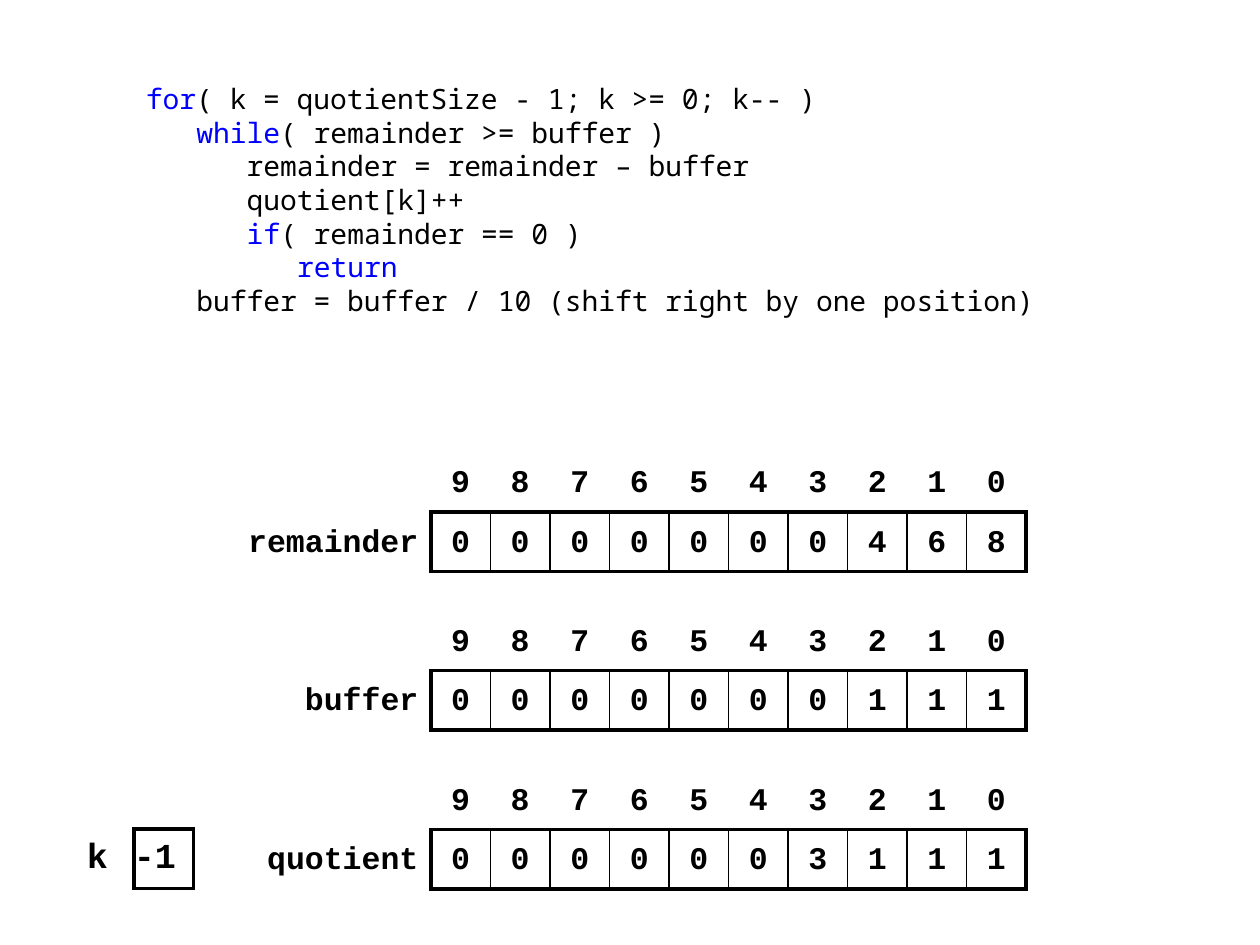
from dataclasses import dataclass

from lxml.etree import SubElement
from pptx import Presentation
from pptx.dml.color import RGBColor
from pptx.enum.text import MSO_ANCHOR, PP_ALIGN
from pptx.oxml.ns import qn
from pptx.util import Inches, Pt


@dataclass(frozen=True)
class Theme:
    """Colours, fonts, type sizes and line widths of the slide."""
    ink: str = "000000"
    keyword: str = "0000FF"
    code_font: str = "Noto Sans Mono"
    grid_font: str = "Courier New"
    code_size: float = 16
    code_leading: float = 19.2
    digit_size: float = 18
    counter_size: float = 20
    thick: float = 2.25
    thin: float = 1


THEME = Theme()
PLAIN_STYLE = "{2D5ABB26-0587-4C30-8999-92F81FD0307C}"
CELL = 0.4725
LABEL_WIDTH = 1.57
INDENT_STEP = 0.4

# Each line: indent level, keyword, remaining text
CODE = [
    (0, "for", "( k = quotientSize - 1; k >= 0; k-- )"),
    (1, "while", "( remainder >= buffer )"),
    (2, "", "remainder = remainder – buffer"),
    (2, "", "quotient[k]++"),
    (2, "if", "( remainder == 0 )"),
    (3, "return", ""),
    (1, "", "buffer = buffer / 10 (shift right by one position)"),
]
REGISTERS = [
    ("remainder", "0000000468"),
    ("buffer", "0000000111"),
    ("quotient", "0000003111"),
]


def add_span(para, text, font, size, color, bold=False):
    """Add one styled run to a paragraph."""
    span = para.add_run()
    span.text = text
    span.font.name = font
    span.font.size = Pt(size)
    span.font.bold = bold
    span.font.color.rgb = RGBColor.from_string(color)


def add_code(page, left, top, width, height):
    """Add the pseudocode with its keywords coloured."""
    box = page.shapes.add_textbox(*map(Inches, (left, top, width, height)))
    frame = box.text_frame
    frame.word_wrap = True
    for number, (level, keyword, rest) in enumerate(CODE):
        para = frame.paragraphs[0] if number == 0 else frame.add_paragraph()
        para.line_spacing = Pt(THEME.code_leading)
        properties = para._p.get_or_add_pPr()
        properties.set("marL", "0")
        properties.set("indent", str(Inches(level * INDENT_STEP)))
        for text, color in ((keyword, THEME.keyword), (rest, THEME.ink)):
            if text:
                add_span(para, text, THEME.code_font, THEME.code_size, color)


def add_grid(page, left, top, widths, rows):
    """Add an unstyled table with rows of cell height."""
    frame = page.shapes.add_table(
        rows, len(widths), Inches(left), Inches(top),
        Inches(sum(widths)), Inches(rows * CELL))
    table = frame.table
    table.first_row = table.horz_banding = False
    table._tbl.tblPr.find(qn("a:tableStyleId")).text = PLAIN_STYLE
    for column, width in zip(table.columns, widths):
        column.width = Inches(width)
    for row in table.rows:
        row.height = Inches(CELL)
    return table


def style_cell(cell, borders, side_inset=0.1):
    """Set borders (side letter to width), insets and an empty fill."""
    properties = cell._tc.get_or_add_tcPr()
    for side in "LRTB":
        width = borders.get(side)
        line = SubElement(properties, qn("a:ln" + side))
        if width is None:
            line.set("w", "0")
            SubElement(line, qn("a:noFill"))
            continue
        line.set("w", str(Pt(width)))
        fill = SubElement(line, qn("a:solidFill"))
        SubElement(fill, qn("a:srgbClr")).set("val", THEME.ink)
    cell.fill.background()
    cell.margin_left = cell.margin_right = Inches(side_inset)
    cell.margin_top = cell.margin_bottom = Inches(0.04)


def write_cell(cell, text, size, align, spacing=1.0):
    """Write bold monospaced text into a cell."""
    para = cell.text_frame.paragraphs[0]
    para.alignment = align
    para.line_spacing = spacing
    add_span(para, text, THEME.grid_font, size, THEME.ink, bold=True)


def add_register(page, left, top, name, digits):
    """Add a labelled row of digits below its position numbers."""
    count = len(digits)
    table = add_grid(page, left, top, [LABEL_WIDTH] + [CELL] * count, 2)
    thick, thin = THEME.thick, THEME.thin
    style_cell(table.cell(0, 0), {})
    label = table.cell(1, 0)
    style_cell(label, {"R": thick})
    write_cell(label, name, THEME.digit_size, PP_ALIGN.RIGHT, 1.25)
    for column, digit in enumerate(digits, 1):
        position, value = table.cell(0, column), table.cell(1, column)
        style_cell(position, {"B": thick})
        style_cell(value, {"L": thick if column == 1 else thin,
                           "R": thick if column == count else thin,
                           "T": thick, "B": thick})
        for cell, text in ((position, str(count - column)), (value, digit)):
            write_cell(cell, text, THEME.digit_size, PP_ALIGN.CENTER, 1.25)


def add_counter(page, left, top, name, value):
    """Add a variable name beside its boxed value."""
    table = add_grid(page, left, top, [CELL, CELL], 1)
    label, boxed = table.cell(0, 0), table.cell(0, 1)
    style_cell(label, {"R": THEME.thick})
    style_cell(boxed, dict.fromkeys("LRTB", THEME.thick), side_inset=0)
    for cell, text in ((label, name), (boxed, value)):
        cell.vertical_anchor = MSO_ANCHOR.MIDDLE
        write_cell(cell, text, THEME.counter_size, PP_ALIGN.LEFT)


def main():
    """Build the division slide and save it."""
    deck = Presentation()
    deck.slide_width, deck.slide_height = Inches(10), Inches(7.5)
    page = deck.slides.add_slide(deck.slide_layouts[6])
    add_code(page, 1.06, 0.6, 7.25, 2.52)
    for number, (name, digits) in enumerate(REGISTERS):
        add_register(page, 1.85, 3.59 + number * 1.26, name, digits)
    add_counter(page, 0.59, 6.58, "k", "-1")
    deck.save("out.pptx")


main()
